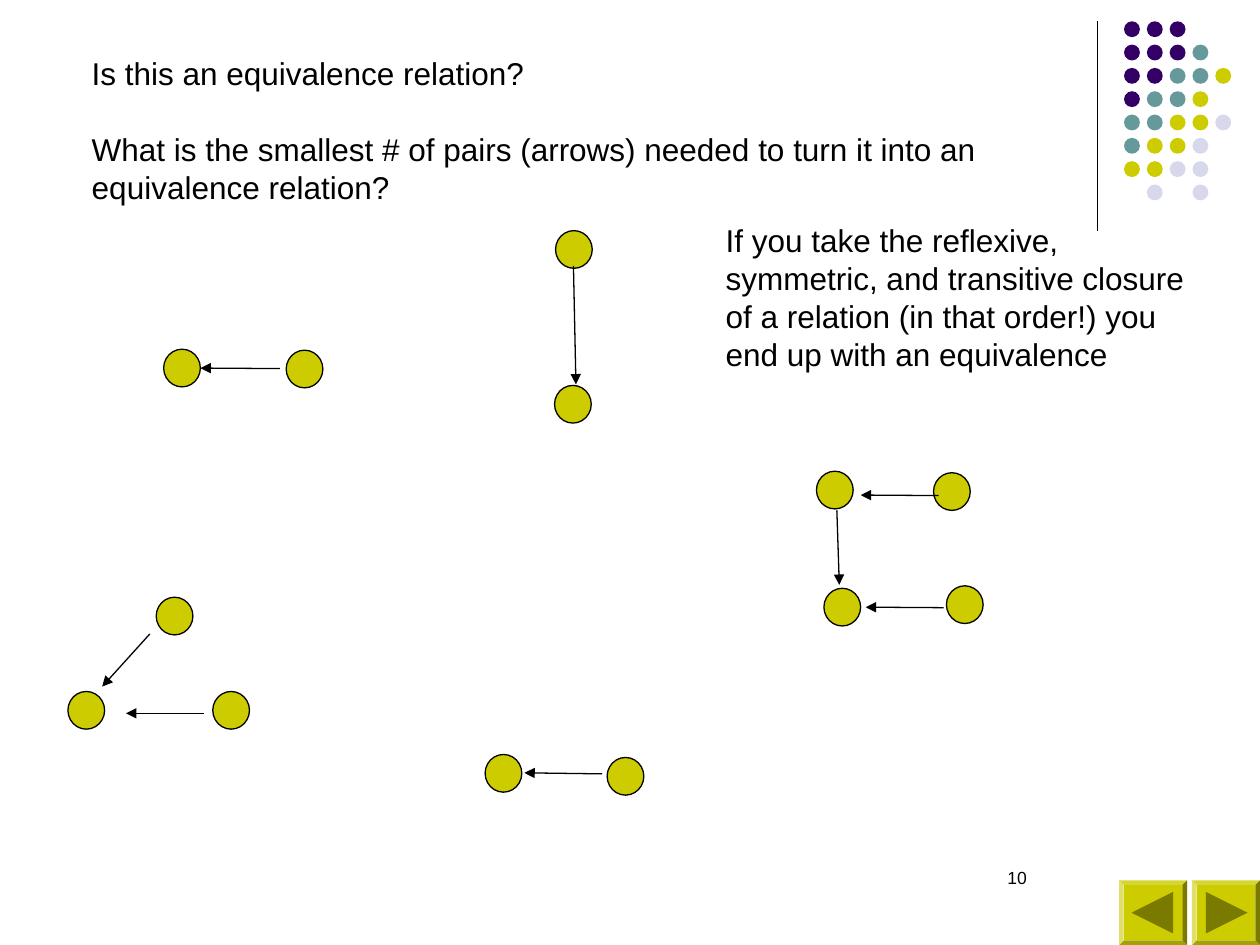
from pptx import Presentation
from pptx.dml.color import RGBColor
from pptx.enum.shapes import MSO_CONNECTOR as Connector, MSO_SHAPE as Shape
from pptx.enum.text import PP_ALIGN as Align
from pptx.oxml.ns import qn
from pptx.util import Cm, Pt
from lxml.etree import SubElement

COLORS = {
    "ink": "000000",
    "purple": "330066",
    "teal": "669999",
    "olive": "CCCC00",
    "lilac": "D8D8EC",
    "dark_olive": "7A7A00",
}


class SlideBuilder:
    font_name = "Arial"
    line_width = Pt(0.75)

    def __init__(self, slide):
        self.slide = slide

    def color(self, name):
        return RGBColor.from_string(COLORS[name])

    def paint(self, shape, fill, outlined=False):
        shape.shadow.inherit = False
        shape.fill.solid()
        shape.fill.fore_color.rgb = self.color(fill)
        if outlined:
            shape.line.color.rgb = self.color("ink")
            shape.line.width = self.line_width
        else:
            shape.line.fill.background()

    def ellipse(self, left, top, width, height, fill, outlined=False):
        shape = self.slide.shapes.add_shape(
            Shape.OVAL, Cm(left), Cm(top), Cm(width), Cm(height))
        self.paint(shape, fill, outlined)

    def line(self, x1, y1, x2, y2, arrow=False):
        connector = self.slide.shapes.add_connector(
            Connector.STRAIGHT, Cm(x1), Cm(y1), Cm(x2), Cm(y2))
        connector.line.color.rgb = self.color("ink")
        connector.line.width = self.line_width
        if arrow:
            SubElement(connector.line._get_or_add_ln(), qn("a:tailEnd"), type="triangle")
        SubElement(connector._element.spPr, qn("a:effectLst"))

    def button(self, left, base, tip):
        top, width, height = 17.75, 1.37, 1.3
        bevel = self.slide.shapes.add_shape(
            Shape.BEVEL, Cm(left), Cm(top), Cm(width), Cm(height))
        bevel.adjustments[0] = 0.07
        self.paint(bevel, "olive")
        middle, half = top + height / 2, 0.42
        builder = self.slide.shapes.build_freeform(
            Cm(left + base), Cm(middle - half))
        builder.add_line_segments([
            (Cm(left + tip), Cm(middle)),
            (Cm(left + base), Cm(middle + half)),
        ])
        self.paint(builder.convert_to_shape(), "dark_olive")

    def text(self, left, top, width, height, paragraphs, size=18,
             align=Align.LEFT, gap=0):
        box = self.slide.shapes.add_textbox(
            Cm(left), Cm(top), Cm(width), Cm(height))
        frame = box.text_frame
        frame.word_wrap = True
        for index, content in enumerate(paragraphs):
            paragraph = frame.add_paragraph() if index else frame.paragraphs[0]
            paragraph.text = content
            paragraph.alignment = align
            paragraph.line_spacing = Pt(size * 1.2)
            paragraph.space_before = Pt(gap if index else 0)
            paragraph.font.name = self.font_name
            paragraph.font.size = Pt(size)
            paragraph.font.color.rgb = self.color("ink")


DOT_CODES = {"P": "purple", "T": "teal", "O": "olive", "L": "lilac"}
DOT_ROWS = ["PPP", "PPPT", "PPTTO", "PTTO", "TTOOL", "TOOL", "OOLL", " L L"]

NODES = [
    (3.3, 7.04), (5.77, 7.06),
    (1.37, 13.94), (3.15, 12.04), (4.29, 13.94),
    (16.46, 9.5), (16.61, 11.86), (18.82, 9.53), (19.08, 11.81),
    (11.2, 4.65), (11.18, 7.77),
    (9.78, 15.21), (12.24, 15.27),
]

ARROWS = [
    (5.64, 7.43, 4.04, 7.42),
    (12.14, 15.6, 10.57, 15.58),
    (11.56, 5.36, 11.61, 7.75),
    (16.87, 10.29, 16.92, 11.79),
    (19.02, 12.25, 17.45, 12.24),
    (18.92, 9.99, 17.35, 9.98),
    (3.02, 12.78, 2.06, 13.84),
    (4.11, 14.38, 2.54, 14.38),
]


def main():
    presentation = Presentation()
    presentation.slide_width, presentation.slide_height = Cm(25.4), Cm(19.05)
    builder = SlideBuilder(
        presentation.slides.add_slide(presentation.slide_layouts[6]))

    builder.line(22.12, 0.43, 22.12, 4.65)
    for row, codes in enumerate(DOT_ROWS):
        for column, code in enumerate(codes):
            if code in DOT_CODES:
                builder.ellipse(22.66 + 0.46 * column, 0.43 + 0.47 * row,
                                0.32, 0.32, DOT_CODES[code])

    builder.button(24.03, base=0.28, tip=1.12)
    builder.button(22.56, base=1.09, tip=0.25)
    builder.text(18.21, 17.35, 2.74, 1.27, ["10"], size=10, align=Align.RIGHT)

    for left, top in NODES:
        builder.ellipse(left, top, 0.74, 0.76, "olive", outlined=True)
    for ends in ARROWS:
        builder.line(*ends, arrow=True)

    builder.text(1.6, 0.97, 18.49, 3.3, [
        "Is this an equivalence relation?",
        "What is the smallest # of pairs (arrows) needed to turn it into an"
        "\vequivalence relation?",
    ], gap=21.6)
    builder.text(14.38, 4.34, 9.8, 3.3, [
        "If you take the reflexive, symmetric, and transitive closure of a "
        "relation (in that order!) you end up with an equivalence",
    ])
    presentation.save("out.pptx")


if __name__ == "__main__":
    main()
